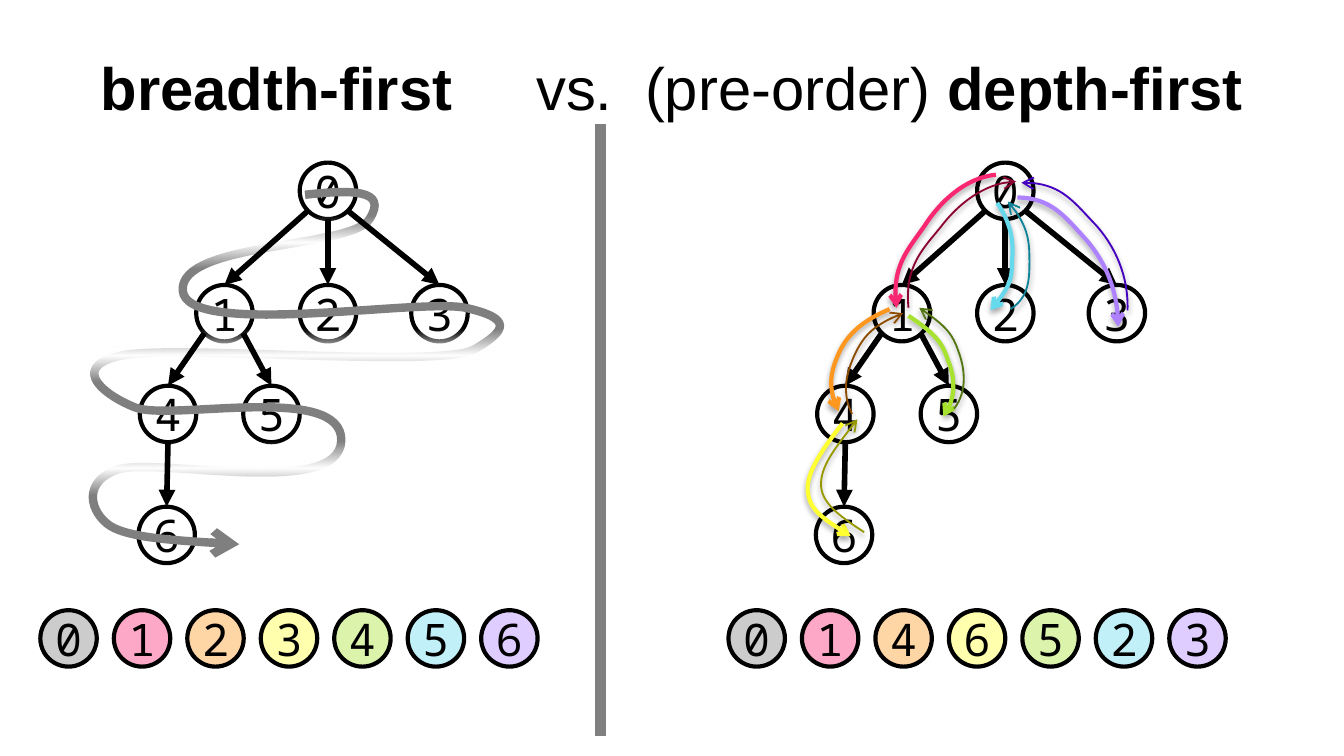
from pptx import Presentation
from pptx.dml.color import RGBColor
from pptx.enum.shapes import MSO_CONNECTOR, MSO_SHAPE
from pptx.enum.text import MSO_ANCHOR, PP_ALIGN
from pptx.oxml import parse_xml
from pptx.oxml.ns import nsdecls, qn
from pptx.util import Inches, Pt

BLACK = RGBColor(0x00, 0x00, 0x00)
WHITE = RGBColor(0xFF, 0xFF, 0xFF)
GRAY = RGBColor(0x80, 0x80, 0x80)
SWIRL = RGBColor(0x7F, 0x7F, 0x7F)
PINK, MAROON = RGBColor(0xF9, 0x26, 0x71), RGBColor(0x8C, 0x04, 0x34)
ORANGE, BROWN = RGBColor(0xFD, 0x97, 0x1F), RGBColor(0x8D, 0x4D, 0x01)
YELLOW, OLIVE = RGBColor(0xFF, 0xFF, 0x32), RGBColor(0x98, 0x98, 0x00)
LIME, GREEN = RGBColor(0xA6, 0xE2, 0x2E), RGBColor(0x55, 0x77, 0x11)
CYAN, TEAL = RGBColor(0x66, 0xD9, 0xED), RGBColor(0x12, 0x84, 0x98)
VIOLET, INDIGO = RGBColor(0xAE, 0x81, 0xFF), RGBColor(0x45, 0x00, 0xC0)

# Fills of the visiting order, first to last
TINTS = [RGBColor(0xCC, 0xCC, 0xCC), RGBColor(0xFD, 0xA8, 0xC6),
         RGBColor(0xFE, 0xD5, 0xA5), RGBColor(0xFF, 0xFF, 0xAD),
         RGBColor(0xDB, 0xF3, 0xAB), RGBColor(0xC2, 0xF0, 0xF8),
         RGBColor(0xDF, 0xCD, 0xFF)]

SIZE = 0.42          # node diameter
STEP = 3.28 / 6      # pitch of the visiting order
SHIFT = 5.04         # from the left tree to the right tree

# The left tree: node label and corner, edge start and end
NODES = [("0", 2.23, 1.21), ("1", 1.46, 2.12), ("2", 2.23, 2.12),
         ("3", 3.06, 2.12), ("4", 1.04, 2.87), ("5", 1.81, 2.87),
         ("6", 1.03, 3.77)]
EDGES = [(2.29, 1.57, 1.67, 2.12), (2.44, 1.63, 2.44, 2.12),
         (2.59, 1.57, 3.27, 2.12), (1.52, 2.48, 1.25, 2.87),
         (1.81, 2.48, 2.02, 2.87), (1.25, 3.29, 1.24, 3.77)]

# Breadth-first path: start, then three points for each curve
SWEEP = [(2.27, 1.45), (2.62, 1.41), (2.89, 1.41), (2.75, 1.63),
         (2.62, 1.85), (1.34, 1.8), (1.36, 2.16),
         (1.38, 2.52), (3.1, 2.22), (3.46, 2.29),
         (3.82, 2.37), (3.77, 2.46), (3.53, 2.6),
         (3.29, 2.74), (1.37, 2.57), (0.94, 2.64),
         (0.52, 2.71), (0.73, 2.92), (1, 3.03),
         (1.26, 3.14), (2.55, 2.84), (2.54, 3.28),
         (2.52, 3.72), (1.14, 3.39), (0.86, 3.5),
         (0.58, 3.61), (0.7, 3.86), (0.85, 3.93),
         (1, 4), (1.39, 4.03), (1.78, 4.05)]
FADES = [(0.41, 2.45), (0.43, 1.61), (0.28, 3.29)]

# Depth-first steps down to a child
DOWN = [
    (PINK, [(7.41, 1.3), (7.12, 1.33), (6.93, 1.6), (6.88, 1.68),
            (6.76, 1.85), (6.63, 1.99), (6.67, 2.29)]),
    (ORANGE, [(6.62, 2.3), (6.41, 2.39), (6.31, 2.49), (6.25, 2.61),
              (6.19, 2.74), (6.15, 2.89), (6.24, 3.06)]),
    (YELLOW, [(6.27, 3.15), (6.13, 3.33), (6, 3.51), (6.01, 3.65),
              (6.02, 3.79), (6.17, 3.89), (6.33, 3.99)]),
    (LIME, [(6.76, 2.35), (6.94, 2.47), (7.01, 2.54), (7.05, 2.67),
            (7.1, 2.79), (7.12, 2.97), (7.02, 3.1)]),
    (CYAN, [(7.42, 1.51), (7.54, 1.69), (7.54, 1.82), (7.53, 1.96),
            (7.53, 2.09), (7.48, 2.18), (7.37, 2.31)]),
    (VIOLET, [(7.57, 1.47), (7.82, 1.47), (7.93, 1.62), (8.06, 1.76),
              (8.17, 1.88), (8.32, 2.11), (8.32, 2.43)]),
]
# Depth-first steps back up, listed from the parent
BACK = [
    (OLIVE, [(6.38, 3.12), (6.24, 3.3), (6.1, 3.48), (6.11, 3.62),
             (6.12, 3.76), (6.28, 3.86), (6.43, 3.96)]),
    (BROWN, [(6.72, 2.33), (6.51, 2.41), (6.42, 2.51), (6.36, 2.64),
             (6.3, 2.77), (6.26, 2.92), (6.34, 3.08)]),
    (GREEN, [(6.84, 2.29), (7.02, 2.41), (7.09, 2.49), (7.13, 2.61),
             (7.18, 2.74), (7.2, 2.91), (7.1, 3.04)]),
    (MAROON, [(7.56, 1.35), (7.27, 1.36), (7.06, 1.61), (7, 1.69),
              (6.87, 1.85), (6.73, 1.98), (6.76, 2.29)]),
    (TEAL, [(7.5, 1.5), (7.65, 1.67), (7.66, 1.81), (7.66, 1.94),
            (7.66, 2.07), (7.66, 2.21), (7.52, 2.3)]),
    (INDIGO, [(7.6, 1.36), (7.87, 1.35), (7.99, 1.5), (8.13, 1.65),
              (8.24, 1.76), (8.4, 1.99), (8.39, 2.31)]),
]


def make(tag, **attrs):
    text = " ".join(f'{key}="{val}"' for key, val in attrs.items())
    return parse_xml(f'<a:{tag} {nsdecls("a")} {text}/>')


def stroke(shape, color, width, end=None, kind="triangle"):
    shape.line.color.rgb = color
    shape.line.width = Pt(width)
    if end:
        shape.element.spPr.find(qn("a:ln")).append(make(end, type=kind))


def add_title(slide):
    box = slide.shapes.add_textbox(Inches(0.5), Inches(0.28), Inches(9), Inches(0.73))
    frame = box.text_frame
    frame.word_wrap = True
    frame.vertical_anchor = MSO_ANCHOR.MIDDLE
    frame.margin_left = Inches(0.25)
    para = frame.paragraphs[0]
    para.alignment = PP_ALIGN.LEFT
    tabs = make("tabLst")
    for pos in (3.24, 4.05):
        tabs.append(make("tab", pos=Inches(pos), algn="l"))
    para._p.get_or_add_pPr().append(tabs)
    for text, bold in (("breadth-first", True), ("\tvs.\t(pre-order) ", False),
                       ("depth-first", True)):
        run = para.add_run()
        run.text = text
        font = run.font
        font.name, font.size, font.bold = "Arial", Pt(32), bold
        font.color.rgb = BLACK


def add_node(slide, label, x, y, fill=WHITE):
    node = slide.shapes.add_shape(MSO_SHAPE.OVAL, Inches(x), Inches(y),
                                  Inches(SIZE), Inches(SIZE))
    node.shadow.inherit = False
    node.fill.solid()
    node.fill.fore_color.rgb = fill
    stroke(node, BLACK, 2.25)
    frame = node.text_frame
    frame.margin_left = frame.margin_right = 0
    frame.margin_top = frame.margin_bottom = 0
    frame.vertical_anchor = MSO_ANCHOR.MIDDLE
    frame.text = label
    para = frame.paragraphs[0]
    para.alignment = PP_ALIGN.CENTER
    font = para.runs[0].font
    font.name, font.size = "Noto Sans Mono", Pt(24)
    font.color.rgb = BLACK


def add_line(slide, ends, color, width, end=None):
    line = slide.shapes.add_connector(MSO_CONNECTOR.STRAIGHT, *map(Inches, ends))
    stroke(line, color, width, end)
    line.element.spPr.append(make("effectLst"))


def add_curve(slide, points, color, width, end, shade=True):
    dots = [(Inches(x), Inches(y)) for x, y in points]
    build = slide.shapes.build_freeform(*dots[0])
    build.add_line_segments(dots[1:], close=False)
    curve = build.convert_to_shape()
    # Join each three line points into one cubic curve
    legs = list(curve.element.iter(qn("a:lnTo")))
    for i in range(0, len(legs), 3):
        cubic = make("cubicBezTo")
        legs[i].addprevious(cubic)
        for leg in legs[i:i + 3]:
            cubic.append(leg[0])
            leg.getparent().remove(leg)
    curve.fill.background()
    stroke(curve, color, width, end, "arrow")
    curve.shadow.inherit = False
    if shade:
        drop = make("outerShdw", blurRad=Pt(3.1), dist=Pt(1.8), dir=5400000, rotWithShape=0)
        tint = make("srgbClr", val="000000")
        tint.append(make("alpha", val=35000))
        drop.append(tint)
        curve.element.spPr.find(qn("a:effectLst")).append(drop)


def add_fade(slide, x, y):
    band = slide.shapes.add_shape(MSO_SHAPE.RECTANGLE, Inches(x), Inches(y),
                                  Inches(3.9), Inches(0.39))
    band.shadow.inherit = False
    band.line.fill.background()
    band.fill.gradient()
    band.fill.gradient_angle = 90
    stops = band.element.spPr.find(qn("a:gradFill")).find(qn("a:gsLst"))
    for old in list(stops):
        stops.remove(old)
    for pos, alpha in ((0, 0), (50000, 100000), (100000, 0)):
        stop, tint = make("gs", pos=pos), make("srgbClr", val=WHITE)
        tint.append(make("alpha", val=alpha))
        stop.append(tint)
        stops.append(stop)


def add_edges(slide, dx=0):
    for x1, y1, x2, y2 in EDGES:
        add_line(slide, (x1 + dx, y1, x2 + dx, y2), BLACK, 3, "tailEnd")


def add_nodes(slide, dx=0):
    for label, x, y in NODES:
        add_node(slide, label, x + dx, y)


def add_order(slide, labels, left):
    for i, (label, tint) in enumerate(zip(labels, TINTS)):
        add_node(slide, label, left + i * STEP, 4.54, tint)


def main():
    deck = Presentation()
    deck.slide_width = Inches(10)
    deck.slide_height = Inches(10 * 9 / 16)
    slide = deck.slides.add_slide(deck.slide_layouts[6])
    add_title(slide)

    # Depth-first half
    add_edges(slide, SHIFT)
    add_nodes(slide, SHIFT)
    for color, points in DOWN:
        add_curve(slide, points, color, 2.25, "tailEnd")
    for color, points in BACK:
        add_curve(slide, points, color, 1, "headEnd")
    add_order(slide, "0146523", 5.42)

    # Divider
    add_line(slide, (4.47, 0.92, 4.47, 5.48), GRAY, 6)

    # Breadth-first half: the bands fade the path between levels
    add_nodes(slide)
    add_order(slide, "0123456", 0.3)
    add_curve(slide, SWEEP, SWIRL, 4.5, "tailEnd", shade=False)
    for x, y in FADES:
        add_fade(slide, x, y)
    add_edges(slide)

    deck.save("out.pptx")


if __name__ == "__main__":
    main()
